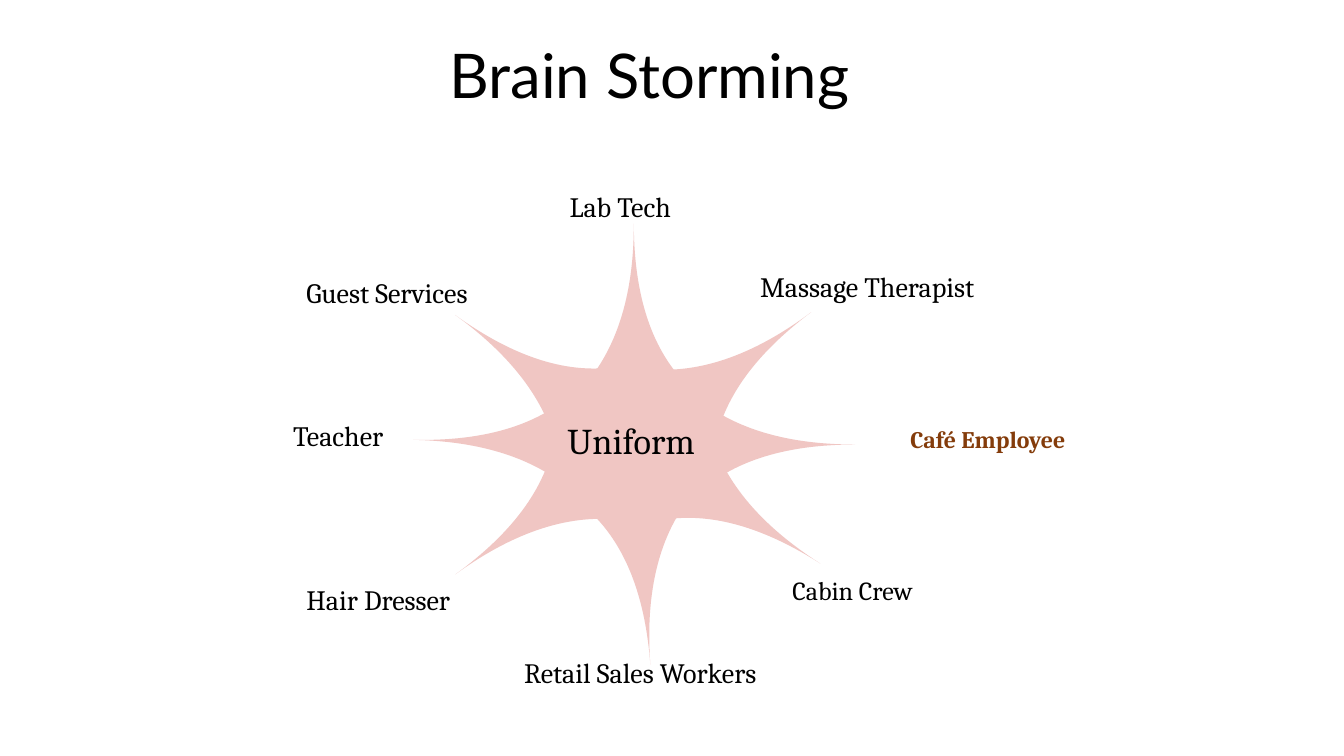
from pptx import Presentation
from pptx.dml.color import RGBColor
from pptx.enum.shapes import MSO_SHAPE as Kind
from pptx.enum.text import MSO_ANCHOR as Anchor
from pptx.util import Inches, Pt

PINK = RGBColor(0xF0, 0xC6, 0xC3)
BLACK = RGBColor(0, 0, 0)
BROWN = RGBColor(0x84, 0x3C, 0x0B)

TURNS = [43.9, 225.1, 187.9, 129.7, 76.5, 7.1, 313.8, 259.8]
JOBS = [
    ("Lab Tech", (5.55, 1.87, 1.49, 0.42), {}),
    ("Massage Therapist", (7.44, 2.66, 2.67, 0.42), {}),
    ("Café Employee", (8.93, 4.22, 1.84, 0.49),
     dict(size=17, color=BROWN, bold=True, line=0.8)),
    ("Cabin Crew", (7.76, 5.73, 1.49, 0.42), dict(size=18.6, line=0.7)),
    ("Retail Sales Workers", (5.1, 6.49, 2.67, 0.42), {}),
    ("Hair Dresser", (2.94, 5.77, 1.82, 0.42), {}),
    ("Teacher", (2.81, 4.14, 1.49, 0.42), {}),
    ("Guest Services", (2.94, 2.72, 2.14, 0.42), {}),
]


def write(slide, text, box, size=20, face="Cambria", color=BLACK,
          bold=False, line=0.9, anchor=Anchor.TOP):
    """Put one line of formatted text in a box."""
    frame = slide.shapes.add_textbox(*map(Inches, box)).text_frame
    frame.word_wrap = True
    frame.vertical_anchor = anchor
    para = frame.paragraphs[0]
    para.line_spacing = line
    run = para.add_run()
    run.text = text
    font = run.font
    font.size, font.name, font.bold = Pt(size), face, bold
    font.color.rgb = color


def draw_star(slide, box):
    """Turn long teardrops about the middle of a box and name the topic."""
    left, top, wide, high = box
    for turn in TURNS:
        petal = slide.shapes.add_shape(Kind.TEAR, *map(Inches, box))
        petal.adjustments[0] = 2
        petal.rotation = turn
        petal.shadow.inherit = False
        petal.fill.solid()
        petal.fill.fore_color.rgb = PINK
        petal.line.fill.background()
    write(slide, "Uniform", (left + 0.03, top + 0.57, wide - 0.09, 0.42),
          size=25.9, line=0.7)


def draw_jobs(slide, box):
    """Place the job labels around the star, measured from a box."""
    left, top = box[:2]
    for text, (x, y, wide, high), style in JOBS:
        write(slide, text, (left + x, top + y, wide, high), **style)


def main():
    """Build and save the slide."""
    deck = Presentation()
    deck.slide_width, deck.slide_height = Inches(13.33), Inches(7.5)
    slide = deck.slides.add_slide(deck.slide_layouts[6])
    draw_star(slide, (5.5, 3.65, 1.58, 1.52))
    write(slide, "Brain Storming", (4.36, 0.05, 8.9, 1.45), size=44,
          face="Lato", anchor=Anchor.MIDDLE)
    draw_jobs(slide, (0, 0, 13.33, 7.5))
    deck.save("out.pptx")


if __name__ == "__main__":
    main()
